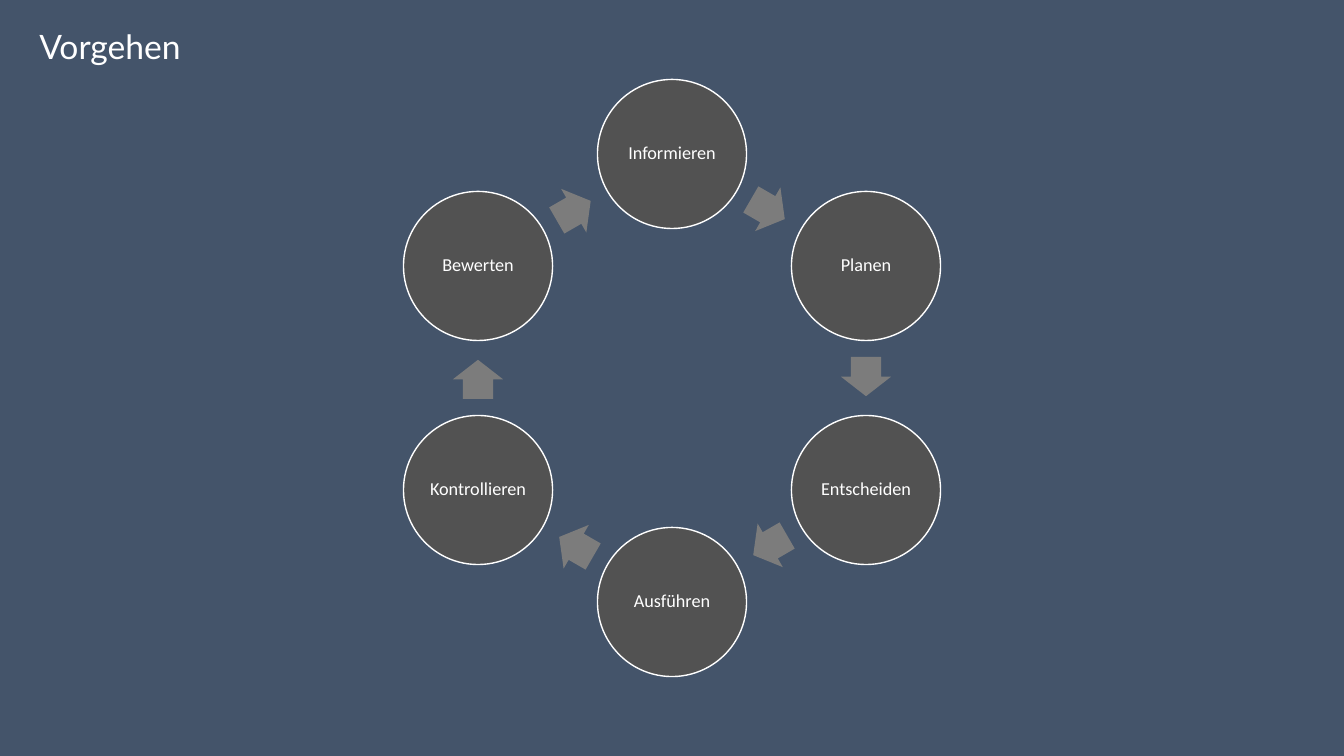
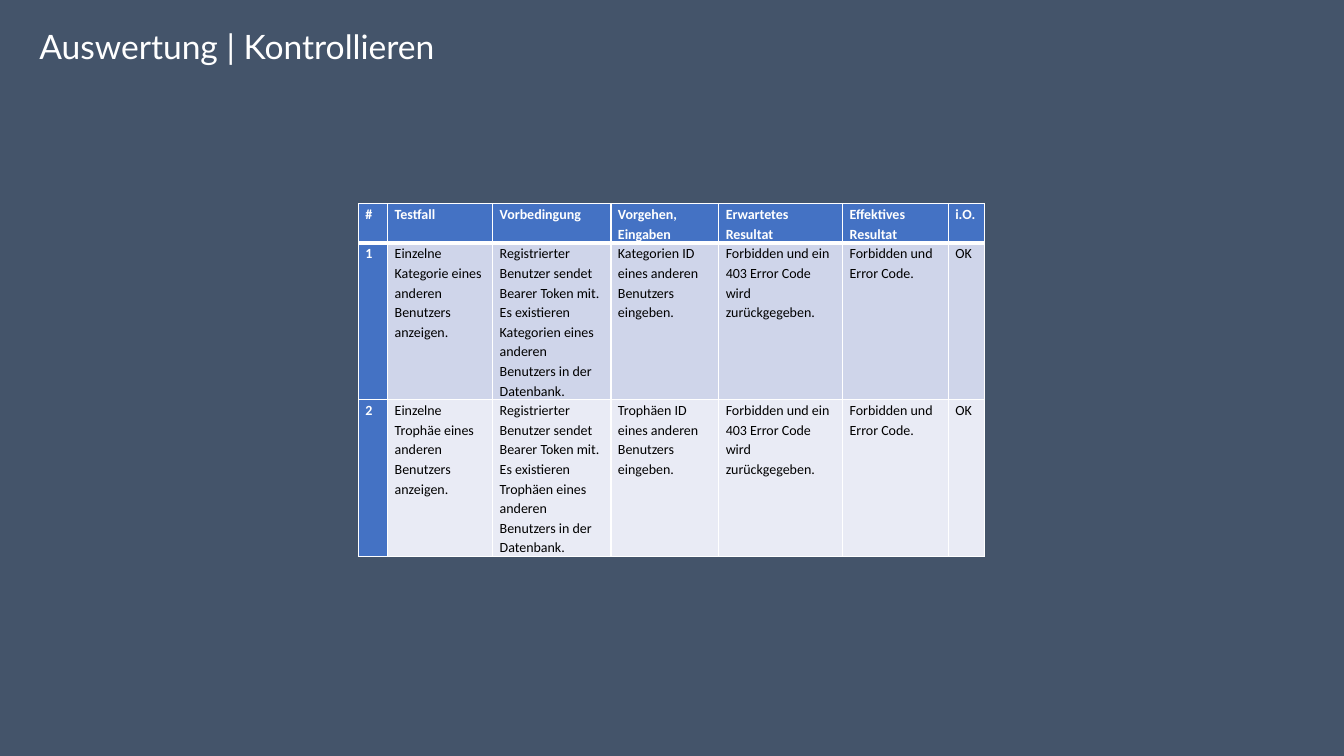
import math
from dataclasses import dataclass

from lxml import etree
from pptx import Presentation
from pptx import util as u
from pptx.dml import color
from pptx.enum import shapes, text
from pptx.oxml import ns


@dataclass(frozen=True)
class Theme:
    background: str = "44546A"
    light: str = "FFFFFF"
    dark: str = "000000"
    circle: str = "525252"
    arrow: str = "7C7C7C"
    accent: str = "4472C4"
    bands: tuple = ("CFD5EA", "E9EBF5")
    title_font: str = "Lato"
    body_font: str = "Calibri"
    title_size: float = 24
    step_size: float = 13
    table_size: float = 10
    table_leading: float = 14


THEME = Theme()
SLIDE_WIDTH, SLIDE_HEIGHT = 960, 540

STEPS = ["Informieren", "Planen", "Entscheiden", "Ausführen", "Kontrollieren", "Bewerten"]
CYCLE_RADIUS = 160
CIRCLE_SIZE = 106.5
ARROW_LENGTH, ARROW_WIDTH = 28, 36
ARROW_SETBACK = 1

COLUMN_WIDTHS = [21, 75, 84.5, 77, 88.5, 75.5, 26]
ROW_HEIGHTS = [28, 112, 112]
TABLE_HEADER = ["#", "Testfall", "Vorbedingung", "Vorgehen, Eingaben",
                "Erwartetes Resultat", "Effektives Resultat", "i.O."]
TEST_SUBJECTS = [("Kategorie", "Kategorien"), ("Trophäe", "Trophäen")]


def rgb(value):
    return color.RGBColor.from_string(value)


def paint(target, value):
    target.fill.solid()
    target.fill.fore_color.rgb = rgb(value)


def add_run(paragraph, content, font, size, ink, bold=False):
    run = paragraph.add_run()
    run.text = content
    run.font.name = font
    run.font.size = u.Pt(size)
    run.font.color.rgb = rgb(ink)
    run.font.bold = bold


def add_titled_slide(presentation, title):
    slide = presentation.slides.add_slide(presentation.slide_layouts[6])
    box = slide.shapes.add_textbox(u.Pt(21), u.Pt(15), u.Pt(302), u.Pt(36))
    frame = box.text_frame
    frame.word_wrap = True
    frame.auto_size = text.MSO_AUTO_SIZE.SHAPE_TO_FIT_TEXT
    add_run(frame.paragraphs[0], title, THEME.title_font, THEME.title_size, THEME.light)
    return slide


def add_centred_shape(slide, kind, center, width, height, fill):
    x, y = center
    shape = slide.shapes.add_shape(
        kind, u.Pt(x - width / 2), u.Pt(y - height / 2), u.Pt(width), u.Pt(height))
    shape.shadow.inherit = False
    paint(shape, fill)
    return shape


def add_step(slide, center, label):
    shape = add_centred_shape(slide, shapes.MSO_SHAPE.OVAL, center,
                              CIRCLE_SIZE, CIRCLE_SIZE, THEME.circle)
    shape.line.color.rgb = rgb(THEME.light)
    shape.line.width = u.Pt(1)
    frame = shape.text_frame
    frame.word_wrap = True
    frame.vertical_anchor = text.MSO_ANCHOR.MIDDLE
    frame.margin_left = frame.margin_right = u.Pt(1.3)
    frame.margin_top = frame.margin_bottom = u.Pt(1.3)
    paragraph = frame.paragraphs[0]
    paragraph.alignment = text.PP_ALIGN.CENTER
    paragraph.line_spacing = 0.9
    add_run(paragraph, label, THEME.body_font, THEME.step_size, THEME.light)


def add_arrow(slide, center, rotation):
    shape = add_centred_shape(slide, shapes.MSO_SHAPE.RIGHT_ARROW, center,
                              ARROW_LENGTH, ARROW_WIDTH, THEME.arrow)
    shape.line.fill.background()
    shape.adjustments[0] = 0.6
    shape.adjustments[1] = 0.5
    shape.rotation = rotation


def add_cycle(slide, labels):
    """Place the steps clockwise from the top, each followed by an arrow."""
    step_angle = 360 / len(labels)

    def position(index):
        angle = math.radians(index * step_angle - 90)
        return (SLIDE_WIDTH / 2 + CYCLE_RADIUS * math.cos(angle),
                SLIDE_HEIGHT / 2 + CYCLE_RADIUS * math.sin(angle))

    for index, label in enumerate(labels):
        (x, y), (next_x, next_y) = position(index), position(index + 1)
        rotation = (index + 0.5) * step_angle
        heading = math.radians(rotation)
        add_step(slide, (x, y), label)
        add_arrow(slide, ((x + next_x) / 2 - ARROW_SETBACK * math.cos(heading),
                          (y + next_y) / 2 - ARROW_SETBACK * math.sin(heading)), rotation)


def set_borders(cell, **widths):
    """Draw the sides L, R, T and B; call before filling, as the schema wants lines first."""
    properties = cell._tc.get_or_add_tcPr()
    for side, width in widths.items():
        line = etree.SubElement(properties, ns.qn(f"a:ln{side}"), w=str(u.Pt(width)))
        fill = etree.SubElement(line, ns.qn("a:solidFill"))
        etree.SubElement(fill, ns.qn("a:srgbClr"), val=THEME.light)


def fill_cell(cell, content, fill, ink, bold):
    paint(cell, fill)
    cell.margin_left = cell.margin_right = u.Pt(5)
    cell.margin_top = cell.margin_bottom = 0
    frame = cell.text_frame
    for index, line in enumerate(content.split("\n")):
        paragraph = frame.add_paragraph() if index else frame.paragraphs[0]
        paragraph.line_spacing = u.Pt(THEME.table_leading)
        add_run(paragraph, line, THEME.body_font, THEME.table_size, ink, bold)


def test_row(number, singular, plural):
    return [
        str(number),
        f"Einzelne {singular} eines anderen Benutzers anzeigen.",
        "Registrierter Benutzer sendet Bearer Token mit.\n"
        f"Es existieren {plural} eines anderen Benutzers in der Datenbank.",
        f"{plural} ID eines anderen Benutzers eingeben.",
        "Forbidden und ein 403 Error Code wird zurückgegeben.",
        "Forbidden und Error Code.",
        "OK",
    ]


def add_test_table(slide, rows):
    table = slide.shapes.add_table(
        len(rows), len(COLUMN_WIDTHS), u.Pt(256), u.Pt(145.5),
        u.Pt(sum(COLUMN_WIDTHS)), u.Pt(sum(ROW_HEIGHTS))).table
    for column, width in zip(table.columns, COLUMN_WIDTHS):
        column.width = u.Pt(width)
    for row, height in zip(table.rows, ROW_HEIGHTS):
        row.height = u.Pt(height)
    for row_index, row in enumerate(rows):
        for column_index, content in enumerate(row):
            cell = table.cell(row_index, column_index)
            heading = row_index == 0 or column_index == 0
            set_borders(cell, L=1, R=1, T=3 if row_index == 1 else 1,
                        B=3 if row_index == 0 else 1)
            fill = THEME.accent if heading else THEME.bands[(row_index - 1) % 2]
            fill_cell(cell, content, fill, THEME.light if heading else THEME.dark, heading)


def main():
    presentation = Presentation()
    presentation.slide_width = u.Pt(SLIDE_WIDTH)
    presentation.slide_height = u.Pt(SLIDE_HEIGHT)
    paint(presentation.slide_master.background, THEME.background)

    add_cycle(add_titled_slide(presentation, "Vorgehen"), STEPS)

    tests = [test_row(number, *subject) for number, subject in enumerate(TEST_SUBJECTS, 1)]
    add_test_table(add_titled_slide(presentation, "Auswertung | Kontrollieren"),
                   [TABLE_HEADER] + tests)

    presentation.save("out.pptx")


if __name__ == "__main__":
    main()
